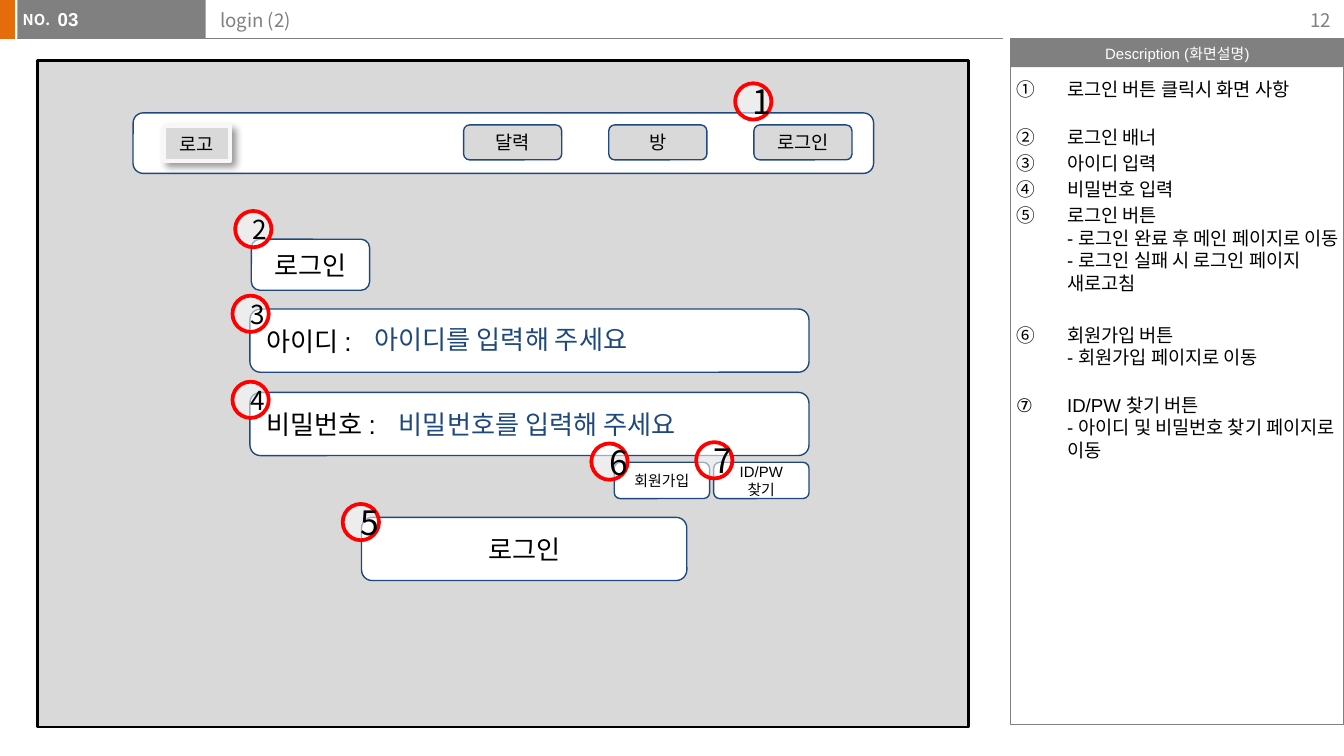
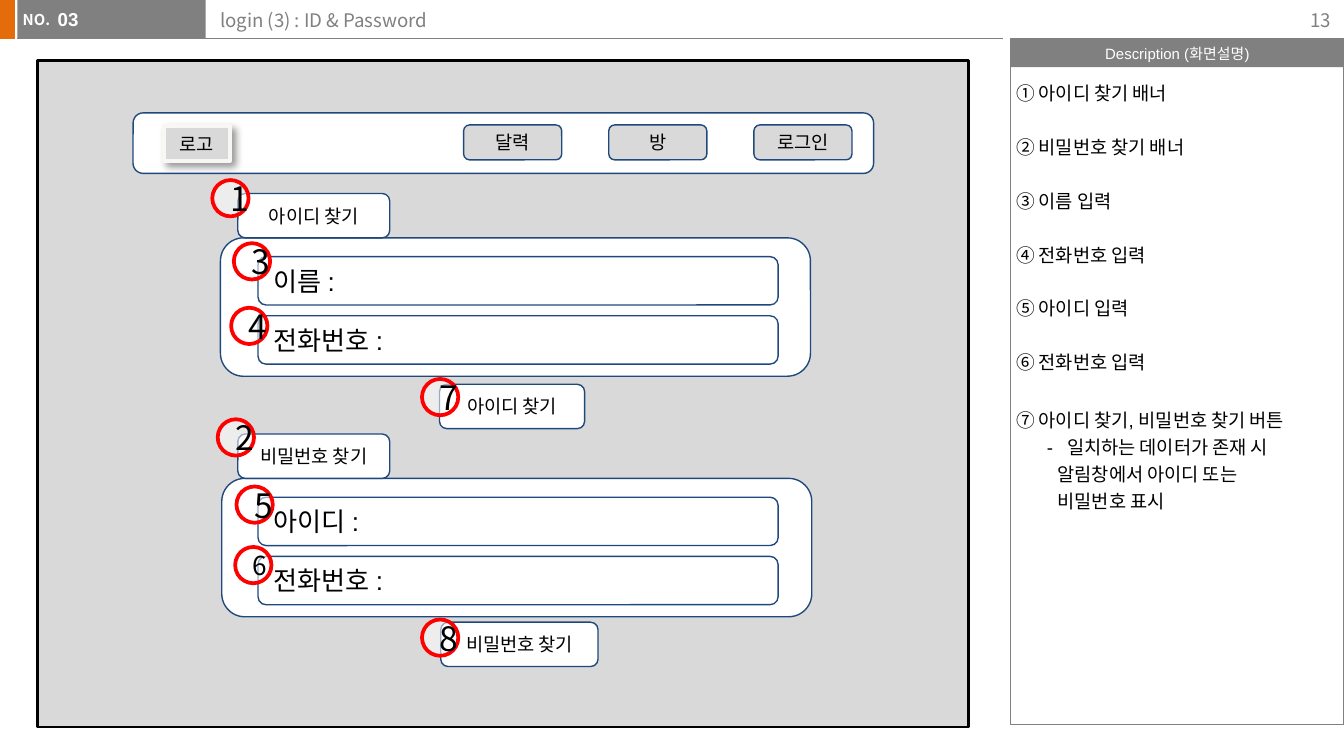
import dataclasses
import typing

import lxml.etree
import pptx
import pptx.dml.color
import pptx.enum.shapes
import pptx.enum.text
import pptx.oxml.ns
import pptx.util

Inches = pptx.util.Inches
Pt = pptx.util.Pt
Kind = pptx.enum.shapes.MSO_SHAPE
Align = pptx.enum.text.PP_ALIGN
Anchor = pptx.enum.text.MSO_ANCHOR
qn = pptx.oxml.ns.qn

# Shared colours and fonts
ORANGE, GREY, PALE, WHITE = "E46C0A", "808080", "D9D9D9", "FFFFFF"
BLACK, NAVY, RED, CREAM = "000000", "1F497D", "FF0000", "F8F7F3"
ARIAL, NOTO = "Arial", "Noto Sans CJK KR"
BADGE = 0.27


class Area(typing.NamedTuple):
    left: float
    top: float
    width: float
    height: float


@dataclasses.dataclass(frozen=True)
class Look:
    size: float = 10
    ink: str = BLACK
    font: str = ARIAL
    bold: bool = False
    align: typing.Any = Align.LEFT
    anchor: typing.Any = Anchor.TOP
    pad: tuple[float, float, float, float] = (0.1, 0.05, 0.1, 0.05)
    wrap: bool = True


@dataclasses.dataclass(frozen=True)
class Box:
    area: Area
    text: str = ""
    size: float = 10
    center: bool = True
    fill: str = WHITE


@dataclasses.dataclass(frozen=True)
class Badge:
    left: float
    top: float
    label: str
    size: float = 18


@dataclasses.dataclass(frozen=True)
class Note:
    text: str
    before: float = 0
    indent: float = 0
    hang: float = 0
    number: bool = False
    space: float = 1


NOTE = Look(pad=(0.04, 0.05, 0.02, 0.05))
MARK = Look(18, font=NOTO, align=Align.CENTER, anchor=Anchor.MIDDLE)


def color(code: str) -> pptx.dml.color.RGBColor:
    return pptx.dml.color.RGBColor.from_string(code)


def place(area: Area) -> list[int]:
    return [Inches(side) for side in area]


def style(para, look: Look) -> None:
    para.alignment = look.align
    for run in para.runs:
        run.font.size = Pt(look.size)
        run.font.name = look.font
        run.font.bold = look.bold
        run.font.color.rgb = color(look.ink)
    # Line breaks carry the same text size
    for stop in para._p.findall(qn("a:br")):
        lxml.etree.SubElement(stop, qn("a:rPr"), sz=str(int(look.size * 100)))


def setup(frame, look: Look) -> None:
    frame.word_wrap = look.wrap
    frame.vertical_anchor = look.anchor
    (frame.margin_left, frame.margin_top,
     frame.margin_right, frame.margin_bottom) = place(Area(*look.pad))


def write(shape, text: str, look: Look) -> None:
    setup(shape.text_frame, look)
    shape.text_frame.text = text
    style(shape.text_frame.paragraphs[0], look)


def label(slide, area: Area, text: str, look: Look) -> None:
    write(slide.shapes.add_textbox(*place(area)), text, look)


def draw(slide, kind, area: Area, fill: str = "", line: str = "",
         width: float = 0.75):
    shape = slide.shapes.add_shape(kind, *place(area))
    shape.shadow.inherit = False
    if fill:
        shape.fill.solid()
        shape.fill.fore_color.rgb = color(fill)
    else:
        shape.fill.background()
    if line:
        shape.line.color.rgb = color(line)
        shape.line.width = Pt(width)
    else:
        shape.line.fill.background()
    return shape


def panel(slide, box: Box) -> None:
    shape = draw(slide, Kind.ROUNDED_RECTANGLE, box.area, box.fill, NAVY)
    if box.text:
        align = Align.CENTER if box.center else Align.LEFT
        write(shape, box.text, Look(box.size, align=align,
                                    anchor=Anchor.MIDDLE, pad=(0.1,) * 4))


def badge(slide, item: Badge) -> None:
    area = Area(item.left, item.top, BADGE, BADGE)
    shape = draw(slide, Kind.OVAL, area, WHITE, RED, 2)
    tint = shape._element.spPr.find(qn("a:solidFill"))[0]
    lxml.etree.SubElement(tint, qn("a:alpha"), val="55000")
    write(shape, item.label, dataclasses.replace(MARK, size=item.size))


def shade(shape) -> None:
    effect = shape._element.spPr.find(qn("a:effectLst"))
    drop = lxml.etree.SubElement(
        effect, qn("a:outerShdw"), blurRad=str(Pt(4)), dist=str(Pt(3)),
        dir=str(45 * 60000), algn="tl", rotWithShape="0")
    tint = lxml.etree.SubElement(drop, qn("a:srgbClr"), val=BLACK)
    lxml.etree.SubElement(tint, qn("a:alpha"), val="40000")


def header(slide, title: str, page: str) -> None:
    # Top band with rule, number, title and page
    draw(slide, Kind.RECTANGLE, Area(-0.01, 0, 0.12, 0.29), ORANGE)
    rule = slide.shapes.add_connector(
        pptx.enum.shapes.MSO_CONNECTOR.STRAIGHT,
        Inches(0.13), Inches(0.29), Inches(7.46), Inches(0.29))
    rule.line.color.rgb = color(GREY)
    rule.line.width = Pt(0.5)
    lxml.etree.SubElement(rule._element.spPr, qn("a:effectLst"))
    draw(slide, Kind.RECTANGLE, Area(0.13, 0, 1.4, 0.29), GREY)
    label(slide, Area(0.07, 0.03, 0.41, 0.24), "NO.",
          Look(8, WHITE, NOTO, True, wrap=False))
    label(slide, Area(0.43, 0.01, 1.1, 0.31), "03",
          Look(ink=WHITE, bold=True, pad=(0, 0.05, 0, 0.05)))
    label(slide, Area(1.54, 0.02, 5.91, 0.32), title, Look(ink=GREY, font=NOTO))
    label(slide, Area(9.4, 0, 0.6, 0.3), page,
          Look(ink=GREY, font=NOTO, align=Align.RIGHT, anchor=Anchor.MIDDLE))


def aside(slide, notes: list[Note]) -> None:
    # Description column
    head = draw(slide, Kind.RECTANGLE, Area(7.52, 0.29, 2.48, 0.21), GREY)
    write(head, "Description (화면설명)",
          Look(8, WHITE, align=Align.CENTER, anchor=Anchor.MIDDLE,
               pad=(0.09, 0.04, 0.09, 0.04), wrap=False))
    draw(slide, Kind.RECTANGLE, Area(7.52, 0.29, 2.48, 5.1), line=GREY)
    frame = slide.shapes.add_textbox(
        *place(Area(7.52, 0.53, 2.48, 4.88))).text_frame
    setup(frame, NOTE)
    for index, note in enumerate(notes):
        para = frame.add_paragraph() if index else frame.paragraphs[0]
        para.text = note.text
        style(para, NOTE)
        para.space_before = Pt(note.before)
        para.line_spacing = note.space
        props = para._p.get_or_add_pPr()
        props.set("marL", str(Inches(note.indent)))
        props.set("indent", str(-Inches(note.hang)))
        if note.number:
            lxml.etree.SubElement(props, qn("a:buAutoNum"),
                                  type="circleNumDbPlain")


def screen(slide) -> None:
    # Mock page with its menu bar
    draw(slide, Kind.RECTANGLE, Area(0.28, 0.45, 6.93, 4.96), PALE, BLACK, 1.5)
    panel(slide, Box(Area(0.99, 0.84, 5.51, 0.45)))
    for index, text in enumerate(("달력", "방", "로그인")):
        left = 3.45 + 1.08 * index
        panel(slide, Box(Area(left, 0.93, 0.73, 0.26), text, fill=PALE))
    logo = draw(slide, Kind.RECTANGLE, Area(1.22, 0.94, 0.49, 0.26),
                PALE, CREAM, 2)
    shade(logo)
    write(logo, "로고", dataclasses.replace(MARK, size=10))


def build(deck, title: str, page: str, notes: list[Note], boxes: list[Box],
          hints: list[tuple[Area, str]], marks: list[Badge]) -> None:
    slide = deck.slides.add_slide(deck.slide_layouts[6])
    header(slide, title, page)
    aside(slide, notes)
    screen(slide)
    for box in boxes:
        panel(slide, box)
    for area, text in hints:
        label(slide, area, text, Look(14, NAVY))
    for mark in marks:
        badge(slide, mark)


def login(deck) -> None:
    steps = [
        (0, "로그인 버튼 클릭시 화면 사항"),
        (13.5, "로그인 배너"),
        (2, "아이디 입력"),
        (2, "비밀번호 입력"),
        (2, "로그인 버튼\v- 로그인 완료 후 메인 페이지로 이동"
            "\v- 로그인 실패 시 로그인 페이지 새로고침"),
        (16, "회원가입 버튼\v- 회원가입 페이지로 이동"),
        (13.5, "ID/PW 찾기 버튼\v- 아이디 및 비밀번호 찾기 페이지로 이동"),
    ]
    notes = [Note(text, gap, 0.38, 0.38, True) for gap, text in steps]
    boxes = [
        Box(Area(1.87, 1.78, 0.88, 0.38), "로그인", 14),
        Box(Area(1.86, 2.3, 4.16, 0.47), "아이디 :", 14, False),
        Box(Area(1.86, 2.92, 4.16, 0.47), "비밀번호 :", 14, False),
        Box(Area(5.31, 3.44, 0.71, 0.27), "ID/PW 찾기", 8),
        Box(Area(4.57, 3.44, 0.71, 0.27), "회원가입", 8),
        Box(Area(2.69, 3.85, 2.42, 0.47), "로그인", 14),
    ]
    hints = [
        (Area(2.69, 2.36, 2.93, 0.34), "아이디를 입력해 주세요"),
        (Area(2.87, 2.99, 2.93, 0.34), "비밀번호를 입력해 주세요"),
    ]
    marks = [
        Badge(5.47, 0.62, "1"), Badge(1.75, 1.57, "2", 14),
        Badge(1.73, 2.2, "3", 14), Badge(1.73, 2.84, "4", 14),
        Badge(2.55, 3.75, "5"), Badge(4.4, 3.3, "6"), Badge(5.18, 3.29, "7"),
    ]
    build(deck, "login (2)", "12", notes, boxes, hints, marks)


def find(deck) -> None:
    steps = ["① 아이디 찾기 배너", "② 비밀번호 찾기 배너", "③ 이름 입력",
             "④ 전화번호 입력", "⑤ 아이디 입력", "⑥ 전화번호 입력"]
    notes = [Note(text, 14.4 if index else 0, space=1.2)
             for index, text in enumerate(steps)]
    notes += [
        Note("⑦ 아이디 찾기, 비밀번호 찾기 버튼", 16.5, space=1.2),
        Note("-\t일치하는 데이터가 존재 시", 0, 0.38, 0.15, space=1.2),
        Note("알림창에서 아이디 또는", 0, 0.31, space=1.2),
        Note("비밀번호 표시", 0, 0.31, space=1.2),
    ]
    # Two search forms: tab, panel, two fields and a button
    boxes = []
    forms = [
        (1.64, 1.77, "아이디 찾기", "이름 :", 3.27, 1.08, 2.86),
        (1.65, 3.56, "비밀번호 찾기", "아이디 :", 3.28, 1.17, 4.63),
    ]
    for left, top, name, field, side, width, foot in forms:
        boxes += [
            Box(Area(left, top, 4.39, 1.03)),
            Box(Area(1.77, top - 0.33, 1.13, 0.33), name),
            Box(Area(1.92, top + 0.14, 3.87, 0.36), field, 14, False),
            Box(Area(1.92, top + 0.58, 3.87, 0.36), "전화번호 :", 14, False),
            Box(Area(side, foot, width, 0.33), name),
        ]
    marks = [
        Badge(1.58, 1.34, "1"), Badge(1.62, 3.12, "2"),
        Badge(1.74, 1.81, "3"), Badge(1.72, 2.29, "4"),
        Badge(1.76, 3.62, "5"), Badge(1.75, 4.07, "6", 14),
        Badge(3.14, 2.82, "7"), Badge(3.14, 4.61, "8"),
    ]
    build(deck, "login (3) : ID & Password", "13", notes, boxes, [], marks)


def main() -> None:
    deck = pptx.Presentation()
    # Widescreen, 16 to 9
    deck.slide_width = Inches(10)
    deck.slide_height = Inches(10) * 9 // 16
    login(deck)
    find(deck)
    deck.save("out.pptx")


if __name__ == "__main__":
    main()
